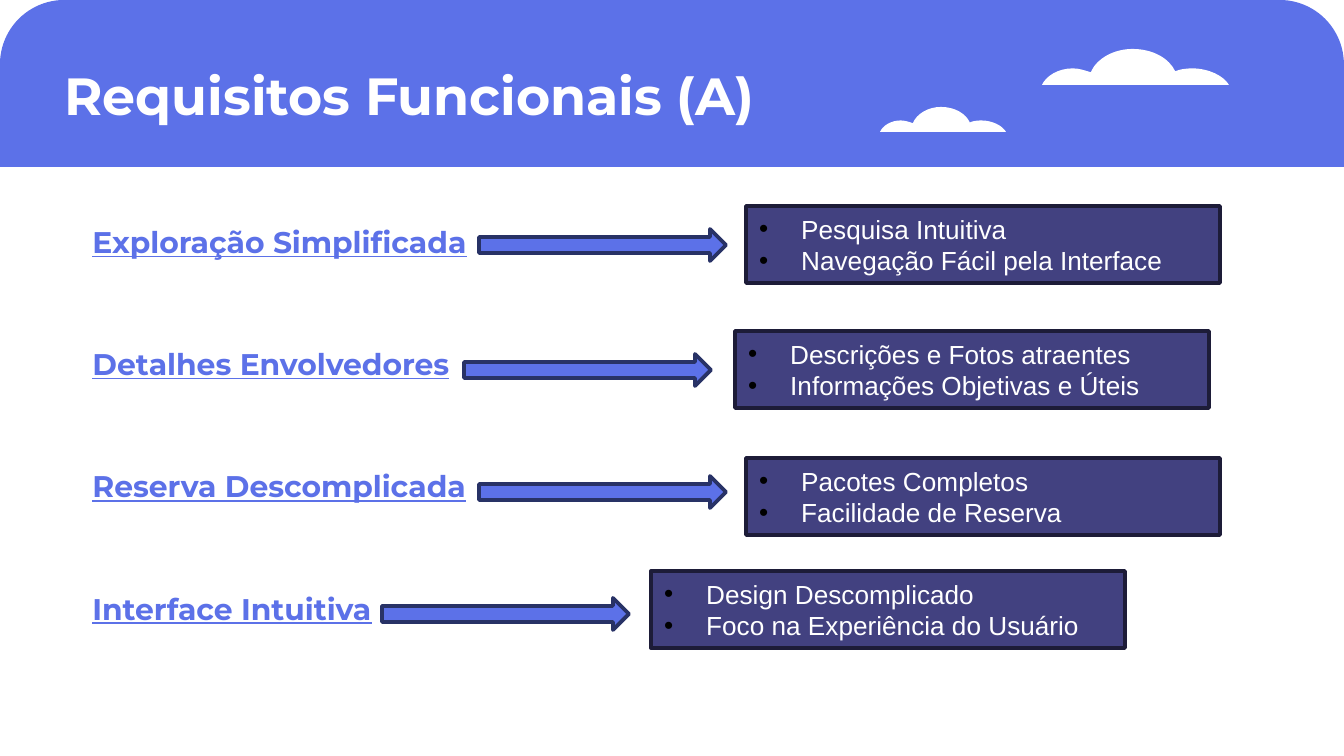
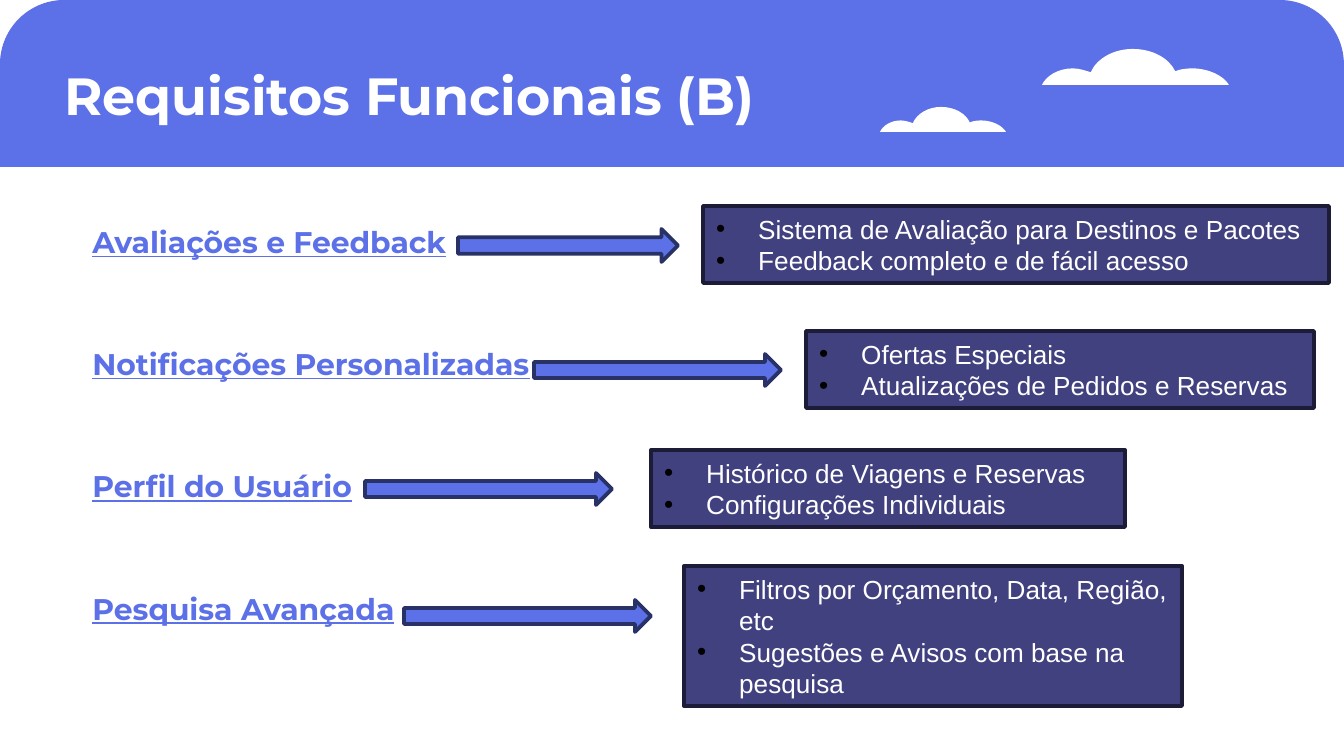
"""Builds two slides of functional requirements, each label pointing to its details."""
from dataclasses import dataclass

from lxml import etree
from pptx import Presentation
from pptx import util as u
from pptx.dml.color import RGBColor
from pptx.enum import shapes, text
from pptx.oxml.ns import qn

EMU_PER_PIXEL = 914400 / 134.4
BLUE, NAVY, PURPLE, DARK, WHITE, BLACK = "5C71E8", "283266", "424180", "1D1C38", "FFFFFF", "000000"
HEADING_FONT, DETAIL_FONT = "Montserrat", "Arial"
BULLET_INDENT = 42
CLOUD_SIZE = (188, 37)
CLOUD_OUTLINE = [
    ("moveTo", [(91, 0)]),
    ("cubicBezTo", [(112, 0), (128, 10), (134, 23)]),
    ("cubicBezTo", [(138, 21), (145, 20), (151, 20)]),
    ("cubicBezTo", [(168, 20), (183, 28), (188, 37)]),
    ("lnTo", [(0, 37)]),
    ("cubicBezTo", [(4, 28), (16, 20), (31, 20)]),
    ("cubicBezTo", [(37, 20), (43, 22), (49, 24)]),
    ("cubicBezTo", [(55, 10), (72, 0), (91, 0)]),
    ("close", []),
]


@dataclass(frozen=True)
class Box:
    left: int
    top: int
    width: int
    height: int


@dataclass(frozen=True)
class Requirement:
    label: str
    arrow: Box
    panel: Box
    details: tuple[str, ...]


@dataclass(frozen=True)
class Page:
    title: str
    requirements: tuple[Requirement, ...]


def arrow_at(left: int, top: int, width: int = 247, height: int = 32) -> Box:
    return Box(left, top, width, height)


def panel_at(left: int, top: int, width: int = 474, height: int = 77) -> Box:
    return Box(left, top, width, height)


BAND = Box(0, 0, 1344, 167)
TITLE = Box(51, 50, 1185, 84)
BODY = Box(79, 169, 1185, 528)
CLOUDS = [Box(1042, 49, 187, 36), Box(880, 107, 126, 25)]
PAGES = [
    Page("Requisitos Funcionais (A)", (
        Requirement("Exploração Simplificada", arrow_at(479, 229), panel_at(746, 206),
                    ("Pesquisa Intuitiva", "Navegação Fácil pela Interface")),
        Requirement("Detalhes Envolvedores", arrow_at(464, 354), panel_at(735, 331),
                    ("Descrições e Fotos atraentes", "Informações Objetivas e Úteis")),
        Requirement("Reserva Descomplicada", arrow_at(479, 476), panel_at(746, 458),
                    ("Pacotes Completos", "Facilidade de Reserva")),
        Requirement("Interface Intuitiva", arrow_at(382, 598), panel_at(651, 571),
                    ("Design Descomplicado", "Foco na Experiência do Usuário")),
    )),
    Page("Requisitos Funcionais (B)", (
        Requirement("Avaliações e Feedback", arrow_at(458, 229, 220, 33), panel_at(703, 206, 626),
                    ("Sistema de Avaliação para Destinos e Pacotes",
                     "Feedback completo e de fácil acesso")),
        Requirement("Notificações Personalizadas", arrow_at(534, 354), panel_at(806, 331, 508),
                    ("Ofertas Especiais", "Atualizações de Pedidos e Reservas")),
        Requirement("Perfil do Usuário", arrow_at(365, 473), panel_at(651, 450),
                    ("Histórico de Viagens e Reservas", "Configurações Individuais")),
        Requirement("Pesquisa Avançada", arrow_at(404, 600), panel_at(684, 566, 498, 140),
                    ("Filtros por Orçamento, Data, Região, etc",
                     "Sugestões e Avisos com base na pesquisa")),
    )),
]


def px(length: float) -> u.Emu:
    return u.Emu(round(length * EMU_PER_PIXEL))


def color(value: str) -> RGBColor:
    return RGBColor.from_string(value)


def place(shape, box: Box) -> None:
    shape.left, shape.top = px(box.left), px(box.top)
    shape.width, shape.height = px(box.width), px(box.height)


def paint(shape, fill: str, line: str | None = None) -> None:
    shape.shadow.inherit = False
    shape.fill.solid()
    shape.fill.fore_color.rgb = color(fill)
    if line:
        shape.line.color.rgb = color(line)
        shape.line.width = u.Pt(2)
    else:
        shape.line.fill.background()


def add_preset(slide, kind, box: Box, fill: str, line: str | None = None):
    shape = slide.shapes.add_shape(kind, px(box.left), px(box.top), px(box.width), px(box.height))
    paint(shape, fill, line)
    return shape


def write(paragraph, content: str, *, font: str, size: float, ink: str,
          bold: bool = False, underline: bool = False) -> None:
    run = paragraph.add_run()
    run.text = content
    run.font.name, run.font.size = font, u.Pt(size)
    run.font.bold, run.font.underline = bold, underline
    run.font.color.rgb = color(ink)
    paragraph.alignment = text.PP_ALIGN.LEFT


def set_bullet(paragraph, indent: int = 0) -> None:
    properties = paragraph._p.get_or_add_pPr()
    properties.set("marL", str(px(indent)))
    properties.set("indent", str(-px(indent)))
    if not indent:
        etree.SubElement(properties, qn("a:buNone"))
        return
    bullet_color = etree.SubElement(properties, qn("a:buClr"))
    etree.SubElement(bullet_color, qn("a:srgbClr"), val=BLACK)
    etree.SubElement(properties, qn("a:buFont"), typeface=DETAIL_FONT)
    etree.SubElement(properties, qn("a:buChar"), char="•")


def paragraphs_for(frame, count: int) -> list:
    return [frame.paragraphs[0]] + [frame.add_paragraph() for _ in range(count - 1)]


def add_cloud(slide, box: Box) -> None:
    builder = slide.shapes.build_freeform(px(box.left), px(box.top))
    builder.add_line_segments([(px(box.left + box.width), px(box.top + box.height))])
    cloud = builder.convert_to_shape()
    outline = next(cloud.element.iter(qn("a:path")))
    for child in list(outline):
        outline.remove(child)
    outline.set("w", str(CLOUD_SIZE[0]))
    outline.set("h", str(CLOUD_SIZE[1]))
    for command, points in CLOUD_OUTLINE:
        segment = etree.SubElement(outline, qn(f"a:{command}"))
        for x, y in points:
            etree.SubElement(segment, qn("a:pt"), x=str(x), y=str(y))
    paint(cloud, WHITE)


def add_header(slide) -> None:
    band = add_preset(slide, shapes.MSO_SHAPE.ROUND_2_SAME_RECTANGLE, BAND, BLUE)
    band.adjustments[0], band.adjustments[1] = 0.385, 0
    for box in CLOUDS:
        add_cloud(slide, box)


def fill_placeholder(shape, box: Box, top_inset: float):
    place(shape, box)
    shape.element.getparent().append(shape.element)
    frame = shape.text_frame
    frame.word_wrap, frame.auto_size = True, text.MSO_AUTO_SIZE.NONE
    frame.vertical_anchor = text.MSO_ANCHOR.TOP
    frame.margin_left = frame.margin_right = frame.margin_bottom = u.Inches(0.1)
    frame.margin_top = px(top_inset)
    return frame


def add_labels(slide, labels: list[str]) -> None:
    frame = fill_placeholder(slide.placeholders[1], BODY, 49.3)
    for paragraph, label in zip(paragraphs_for(frame, len(labels)), labels):
        write(paragraph, label, font=HEADING_FONT, size=16, ink=BLUE, bold=True, underline=True)
        paragraph.line_spacing = u.Pt(22)
        paragraph.space_before, paragraph.space_after = u.Pt(0), u.Pt(43.5)
        set_bullet(paragraph)


def add_panel(slide, box: Box, details: tuple[str, ...]) -> None:
    frame = add_preset(slide, shapes.MSO_SHAPE.RECTANGLE, box, PURPLE, DARK).text_frame
    frame.word_wrap, frame.auto_size = True, text.MSO_AUTO_SIZE.SHAPE_TO_FIT_TEXT
    frame.vertical_anchor = text.MSO_ANCHOR.MIDDLE
    for paragraph, detail in zip(paragraphs_for(frame, len(details)), details):
        write(paragraph, detail, font=DETAIL_FONT, size=14, ink=WHITE)
        set_bullet(paragraph, BULLET_INDENT)


def add_page(presentation, page: Page) -> None:
    slide = presentation.slides.add_slide(presentation.slide_layouts[1])
    add_header(slide)
    title = fill_placeholder(slide.shapes.title, TITLE, 13.44)
    write(title.paragraphs[0], page.title, font=HEADING_FONT, size=28, ink=WHITE, bold=True)
    add_labels(slide, [requirement.label for requirement in page.requirements])
    for requirement in page.requirements:
        add_preset(slide, shapes.MSO_SHAPE.RIGHT_ARROW, requirement.arrow, BLUE, NAVY)
    for requirement in page.requirements:
        add_panel(slide, requirement.panel, requirement.details)


def main() -> None:
    presentation = Presentation()
    presentation.slide_width, presentation.slide_height = px(1344), px(756)
    for page in PAGES:
        add_page(presentation, page)
    presentation.save("out.pptx")


main()
